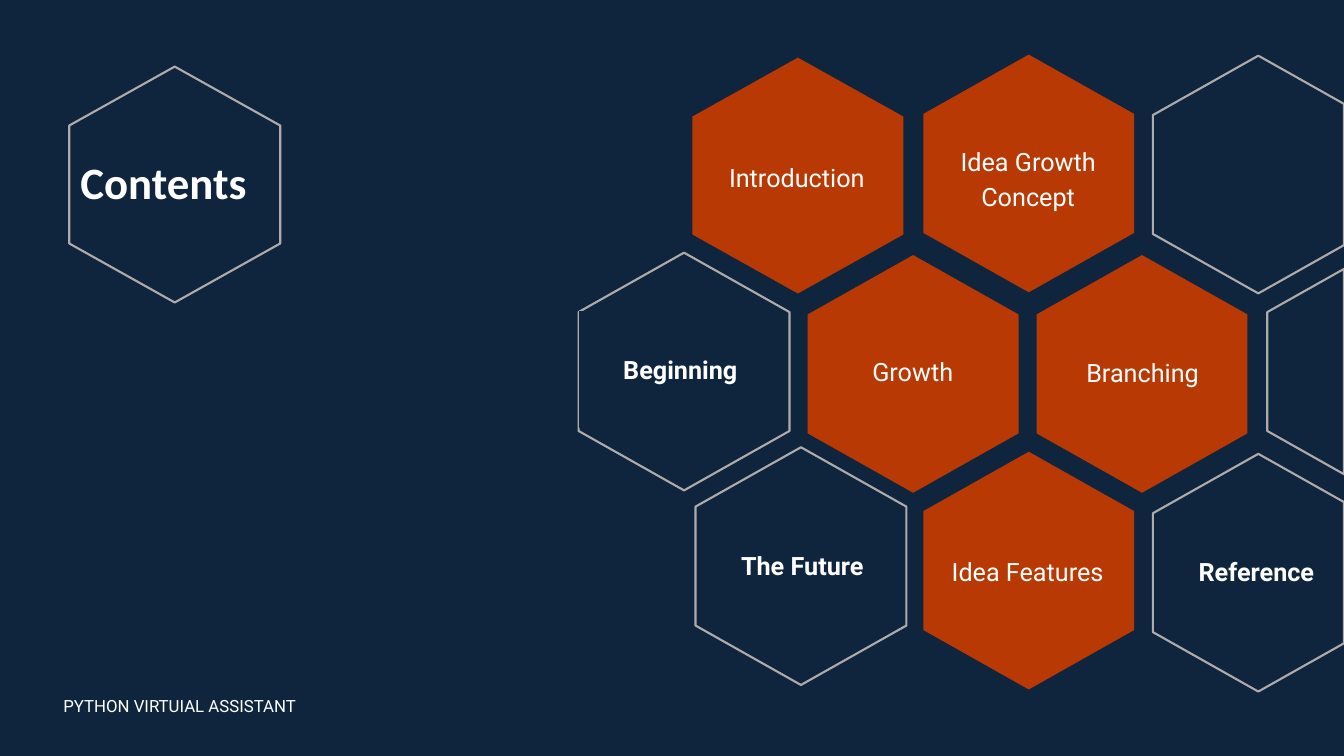
from pptx import Presentation
from pptx.dml.color import RGBColor
from pptx.enum.shapes import MSO_SHAPE
from pptx.enum.text import MSO_ANCHOR, PP_ALIGN
from pptx.util import Pt

NAVY = RGBColor(0x0F, 0x25, 0x3E)
ORANGE = RGBColor(0xB8, 0x39, 0x03)
GREY = RGBColor(0xAF, 0xAB, 0xAB)
WHITE = RGBColor(0xFF, 0xFF, 0xFF)
SLIDE_W, SLIDE_H = 960, 540
HEX_W, HEX_H = 150.7, 169.8

# Content: hexagons as (left, top, height)
FILLED = [(494.6, 41.2, 168.5), (659.5, 39, HEX_H), (576.9, 182.2, HEX_H),
          (659.5, 322.7, HEX_H), (740.4, 182.2, HEX_H)]
OUTLINED = [(49.5, 47.6, 168.5), (823.5, 39.8, HEX_H), (905.2, 180.5, HEX_H),
            (823.5, 324.2, HEX_H), (413.3, 180.5, HEX_H), (496.8, 319.5, HEX_H)]

# Content: text and its box (left, top, width, height)
TOPICS = [
    ("Introduction", (493.9, 85, 150.5, 82.8), 1),
    ("Idea Growth Concept", (659.5, 85, 149.8, 82.8), 1.13),
    ("Growth", (576.7, 226.8, 150.5, 74.9), 1.13),
    ("Branching", (740.9, 227.5, 150.5, 74.9), 1.13),
    ("Idea Features", (658.8, 364.3, 150.5, 85), 1.13),
]
PANELS = [
    ("Beginning", (414, 222.5, 144, 82.8)),
    ("The Future", (501.1, 362.2, 144, 82.8)),
    ("Reference", (836.6, 366.5, 121.7, 82.8)),
]
TITLE = ("Contents", (50.4, 84.2, 149.8, 96.5))
FOOTER = ("PYTHON VIRTUIAL ASSISTANT", (38.2, 489.6, 324, 28.8))


def clip_right(points, limit):
    """Cut a polygon at the vertical line x = limit."""
    kept = []
    for (x0, y0), (x1, y1) in zip(points, points[1:] + points[:1]):
        if x0 <= limit:
            kept.append((x0, y0))
        if (x0 <= limit) != (x1 <= limit):
            kept.append((limit, y0 + (y1 - y0) * (limit - x0) / (x1 - x0)))
    return kept


def add_hexagon(s, left, top, height):
    unit = [(0.5, 0), (1, 0.25), (1, 0.75), (0.5, 1), (0, 0.75), (0, 0.25)]
    corners = clip_right([(left + u * HEX_W, top + v * height) for u, v in unit], SLIDE_W)
    corners = [(Pt(x), Pt(y)) for x, y in corners]
    builder = s.shapes.build_freeform(*corners[0])
    builder.add_line_segments(corners[1:], close=True)
    sp = builder.convert_to_shape()
    sp.shadow.inherit = False
    return sp


def set_text(sp, text, size, bold=False, align=PP_ALIGN.CENTER, font="Roboto"):
    tf = sp.text_frame
    tf.word_wrap = True
    tf.vertical_anchor = MSO_ANCHOR.MIDDLE
    p = tf.paragraphs[0]
    p.text = text
    p.alignment = align
    p.font.name, p.font.size, p.font.bold = font, Pt(size), bold
    p.font.color.rgb = WHITE
    return p


def add_text(s, text, box, size, **style):
    return set_text(s.shapes.add_textbox(*map(Pt, box)), text, size, **style)


prs = Presentation()
prs.slide_width, prs.slide_height = Pt(SLIDE_W), Pt(SLIDE_H)
s = prs.slides.add_slide(prs.slide_layouts[6])
s.background.fill.solid()
s.background.fill.fore_color.rgb = NAVY

# Honeycomb
for cell in FILLED:
    sp = add_hexagon(s, *cell)
    sp.fill.solid()
    sp.fill.fore_color.rgb = ORANGE
    sp.line.fill.background()
for cell in OUTLINED:
    sp = add_hexagon(s, *cell)
    sp.fill.background()
    sp.line.color.rgb = GREY
    sp.line.width = Pt(1.5)

# Title, topics and footer
p = add_text(s, *TITLE, 32, bold=True, align=PP_ALIGN.LEFT, font="Calibri")
p.line_spacing = 0.9
for text, box, spacing in TOPICS:
    p = add_text(s, text, box, 18)
    p.line_spacing = spacing
    p.space_before = Pt(10)
add_text(s, *FOOTER, 12, align=PP_ALIGN.LEFT)

# Label panels inside outlined cells
for text, box in PANELS:
    sp = s.shapes.add_shape(MSO_SHAPE.RECTANGLE, *map(Pt, box))
    sp.shadow.inherit = False
    sp.fill.solid()
    sp.fill.fore_color.rgb = NAVY
    sp.line.color.rgb = NAVY
    sp.line.width = Pt(1)
    set_text(sp, text, 18, bold=True)

prs.save("out.pptx")
